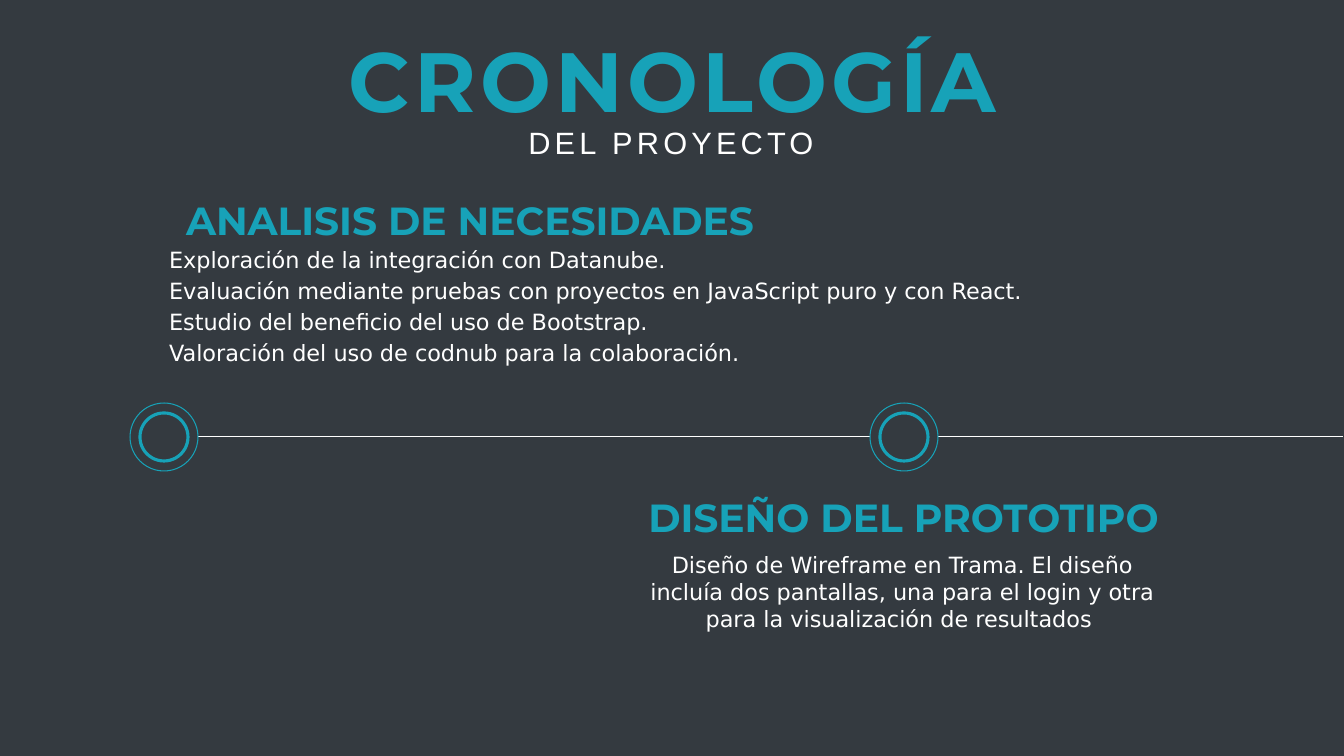
from dataclasses import dataclass
from typing import Any

import lxml.etree
import pptx
import pptx.dml.color
import pptx.enum.shapes
import pptx.enum.text
import pptx.oxml.ns
import pptx.util

SLIDE_WIDTH, SLIDE_HEIGHT = 1344, 756
EMU_PER_PX = 12192000 / SLIDE_WIDTH
COLORS = {"background": "343A40", "accent": "17A2B8", "light": "FFFFFF"}
TIMELINE_Y = 437
OUTER_DIAMETER, INNER_DIAMETER = 68, 48
MILESTONE_CENTERS = (164, 904)
ALIGN = pptx.enum.text.PP_ALIGN


@dataclass(frozen=True)
class Style:
    font: str
    size: int
    color: str
    bold: bool = False
    spacing: int = 0
    space_before: int = 0
    alignment: Any = ALIGN.CENTER


@dataclass(frozen=True)
class TextBlock:
    left: int
    top: int
    width: int
    height: int
    style: Style
    paragraphs: tuple[str, ...]


TITLE = Style("Montserrat", 60, "accent", bold=True, spacing=3)
SUBTITLE = Style("Arial", 22, "light", spacing=3)
HEADING = Style("Montserrat", 28, "accent", bold=True)
DETAIL = Style("DejaVu Sans", 16, "light", space_before=3)
LIST = Style("DejaVu Sans", 16, "light", space_before=3, alignment=ALIGN.LEFT)

TITLE_BLOCK = TextBlock(1, 23, 1344, 112, TITLE, ("CRONOLOGÍA",))
LIST_BLOCK = TextBlock(159, 241, 981, 158, LIST, (
    "Exploración de la integración con Datanube.",
    "Evaluación mediante pruebas con proyectos en JavaScript puro y con React.",
    "Estudio del beneficio del uso de Bootstrap.",
    "Valoración del uso de codnub para la colaboración.",
))
TEXT_BOXES = (
    TextBlock(-1, 119, 1344, 47, SUBTITLE, ("DEL PROYECTO",)),
    TextBlock(156, 191, 628, 57, HEADING, ("ANALISIS DE NECESIDADES",)),
    TextBlock(625, 488, 557, 57, HEADING, ("DISEÑO DEL PROTOTIPO",)),
    TextBlock(624, 546, 557, 123, DETAIL, (
        "Diseño de Wireframe en Trama. El diseño incluía dos pantallas, "
        "una para el login y otra para la visualización de resultados ",
    )),
)


def px(value: float) -> int:
    return round(value * EMU_PER_PX)


def rgb(name: str) -> pptx.dml.color.RGBColor:
    return pptx.dml.color.RGBColor.from_string(COLORS[name])


def apply(target: Any, values: dict[str, Any]) -> None:
    for name, value in values.items():
        setattr(target, name, value)


def fill_text(shape: Any, block: TextBlock) -> None:
    style = block.style
    apply(shape, {
        "left": px(block.left), "top": px(block.top),
        "width": px(block.width), "height": px(block.height),
    })
    frame = shape.text_frame
    apply(frame, {
        "text": "\n".join(block.paragraphs),
        "word_wrap": True,
        "auto_size": pptx.enum.text.MSO_AUTO_SIZE.NONE,
        "vertical_anchor": pptx.enum.text.MSO_ANCHOR.TOP,
    })
    for paragraph in frame.paragraphs:
        apply(paragraph, {
            "alignment": style.alignment,
            "space_before": pptx.util.Pt(style.space_before),
        })
        for run in paragraph.runs:
            apply(run.font, {
                "name": style.font,
                "size": pptx.util.Pt(style.size),
                "bold": style.bold,
            })
            run.font.color.rgb = rgb(style.color)
            if style.spacing:
                run._r.get_or_add_rPr().set("spc", str(style.spacing * 100))


def remove_bullets(shape: Any) -> None:
    for paragraph in shape.text_frame.paragraphs:
        properties = paragraph._p.get_or_add_pPr()
        properties.set("marL", "0")
        properties.set("indent", "0")
        lxml.etree.SubElement(properties, pptx.oxml.ns.qn("a:buNone"))


def add_ring(slide: Any, center: int, diameter: int, weight: float) -> None:
    ring = slide.shapes.add_shape(
        pptx.enum.shapes.MSO_SHAPE.OVAL,
        px(center - diameter / 2), px(TIMELINE_Y - diameter / 2),
        px(diameter), px(diameter),
    )
    ring.shadow.inherit = False
    ring.fill.background()
    ring.line.color.rgb = rgb("accent")
    ring.line.width = pptx.util.Pt(weight)


def add_segment(slide: Any, start: int, end: int) -> None:
    segment = slide.shapes.add_connector(
        pptx.enum.shapes.MSO_CONNECTOR.STRAIGHT,
        px(start), px(TIMELINE_Y), px(end), px(TIMELINE_Y),
    )
    segment.line.color.rgb = rgb("light")
    segment.line.width = pptx.util.Pt(0.75)
    lxml.etree.SubElement(
        segment._element.spPr, pptx.oxml.ns.qn("a:effectLst"))


def main() -> None:
    presentation = pptx.Presentation()
    apply(presentation, {
        "slide_width": px(SLIDE_WIDTH), "slide_height": px(SLIDE_HEIGHT),
    })
    slide = presentation.slides.add_slide(presentation.slide_layouts[1])
    slide.background.fill.solid()
    slide.background.fill.fore_color.rgb = rgb("background")

    fill_text(slide.shapes.title, TITLE_BLOCK)
    body = slide.placeholders[1]
    fill_text(body, LIST_BLOCK)
    remove_bullets(body)
    for block in TEXT_BOXES:
        fill_text(slide.shapes.add_textbox(0, 0, 0, 0), block)

    radius = OUTER_DIAMETER // 2
    segment_ends = (MILESTONE_CENTERS[1] - radius, SLIDE_WIDTH - 1)
    for center, end in zip(MILESTONE_CENTERS, segment_ends):
        add_segment(slide, center + radius, end)
        add_ring(slide, center, OUTER_DIAMETER, 0.75)
        add_ring(slide, center, INNER_DIAMETER, 2.25)

    presentation.save("out.pptx")


if __name__ == "__main__":
    main()
